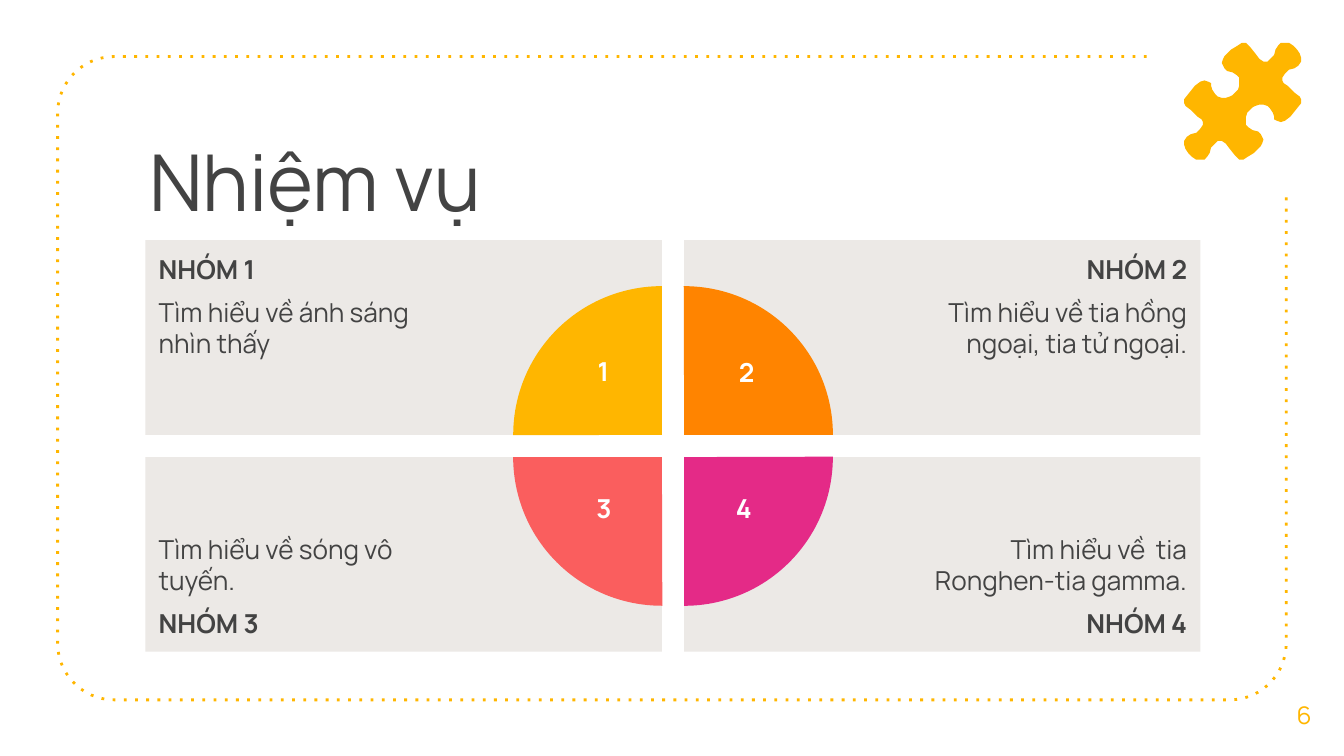
from math import cos, radians, sin

from pptx import Presentation
from pptx.dml.color import RGBColor
from pptx.enum.dml import MSO_LINE
from pptx.enum.shapes import MSO_SHAPE
from pptx.enum.text import MSO_ANCHOR, MSO_AUTO_SIZE, PP_ALIGN
from pptx.oxml.ns import qn
from pptx.util import Cm, Pt

RECTANGLE, PIE = MSO_SHAPE.RECTANGLE, MSO_SHAPE.PIE
TOP, MIDDLE, BOTTOM = MSO_ANCHOR.TOP, MSO_ANCHOR.MIDDLE, MSO_ANCHOR.BOTTOM
LEFT, CENTER, RIGHT = PP_ALIGN.LEFT, PP_ALIGN.CENTER, PP_ALIGN.RIGHT
NO_AUTOFIT, DOTTED = MSO_AUTO_SIZE.NONE, MSO_LINE.ROUND_DOT

COLOURS = {
    "text": "434343", "panel": "ECE9E6", "white": "FFFFFF", "yellow": "FFB600",
    "orange": "FF8400", "coral": "FA5E5E", "pink": "E42A87",
}
FONT = "Manrope"

PANEL_LEFT, PANEL_TOP = 2.75, 4.54
PANEL_WIDTH, PANEL_HEIGHT, PANEL_GAP = 9.76, 3.68, 0.42
PIE_RADIUS = 2.81
INSET, WIDE_INSET = 0.25, 3.81

GROUPS = [
    ("NHÓM 1", "Tìm hiểu về ánh sáng nhìn thấy", "yellow", 0, (11, 6.58, 0.81, 1.03)),
    ("NHÓM 2", "Tìm hiểu về tia hồng ngoại, tia tử ngoại.", "orange", 90, (13.36, 6.6, 1.5, 1.03)),
    ("NHÓM 3", "Tìm hiểu về sóng vô tuyến.", "coral", 270, (10.92, 9.17, 0.99, 1.03)),
    ("NHÓM 4", "Tìm hiểu về  tia Ronghen-tia gamma.", "pink", 180, (13.64, 9.17, 0.84, 1.03)),
]

FRAME_LEFT, FRAME_TOP, FRAME_RIGHT, FRAME_BOTTOM = 1.09, 1.07, 24.31, 13.23
FRAME_RADIUS = 1.07
FRAME_START, FRAME_END = (21.67, FRAME_TOP), (FRAME_RIGHT, 3.71)

PUZZLE_LEFT, PUZZLE_TOP, PUZZLE_SIZE = 22.38, 0.81, 87
PUZZLE_UNIT = 2.54 / 100
PUZZLE_HALF = [
    (43, 0), (40, 2), (35, 5), (30, 10), (29, 12), (28, 15), (29, 17), (30, 19),
    (32, 21), (36, 22), (39, 24), (41, 26), (41, 30), (41, 32), (40, 35), (38, 37),
    (36, 39), (34, 40), (31, 41), (28, 41), (25, 40), (23, 38), (21, 35), (20, 32),
    (20, 30), (18, 29), (15, 28), (12, 29), (8, 32), (4, 37), (0, 42), (0, 45),
    (1, 47), (5, 50), (10, 55), (13, 57), (14, 59), (14, 61), (12, 64), (9, 67),
    (5, 68), (2, 70), (0, 73), (0, 76), (1, 79), (3, 82), (6, 85), (9, 87),
    (12, 87), (15, 87), (17, 85), (19, 82), (20, 78), (22, 76), (25, 73), (28, 73),
    (31, 75), (34, 79), (38, 84), (41, 87),
]


def frame_points():
    corners = [
        (FRAME_LEFT + FRAME_RADIUS, FRAME_TOP + FRAME_RADIUS, 90),
        (FRAME_LEFT + FRAME_RADIUS, FRAME_BOTTOM - FRAME_RADIUS, 180),
        (FRAME_RIGHT - FRAME_RADIUS, FRAME_BOTTOM - FRAME_RADIUS, 270),
    ]
    arcs = [
        (x + FRAME_RADIUS * cos(radians(angle)), y - FRAME_RADIUS * sin(radians(angle)))
        for x, y, first in corners
        for angle in range(first, first + 91, 6)
    ]
    return [FRAME_START, *arcs, FRAME_END]


def puzzle_points():
    turned = [(PUZZLE_SIZE - x, PUZZLE_SIZE - y) for x, y in PUZZLE_HALF]
    return [
        (PUZZLE_LEFT + x * PUZZLE_UNIT, PUZZLE_TOP + y * PUZZLE_UNIT)
        for x, y in PUZZLE_HALF + turned
    ]


def set_values(target, values):
    for attribute, value in values.items():
        setattr(target, attribute, value)


class Deck:
    def __init__(self, slide):
        self.slide = slide
        self.shapes = slide.shapes

    def colour(self, name):
        return RGBColor.from_string(COLOURS[name])

    def paint(self, shape, fill):
        shape.shadow.inherit = False
        shape.fill.solid()
        shape.fill.fore_color.rgb = self.colour(fill)
        shape.line.fill.background()

    def fill_text(self, shape, paragraphs, align=LEFT, anchor=TOP, insets=(INSET,) * 4):
        left, top, right, bottom = map(Cm, insets)
        frame = shape.text_frame
        set_values(frame, {
            "word_wrap": True, "auto_size": NO_AUTOFIT, "vertical_anchor": anchor,
            "margin_left": left, "margin_top": top,
            "margin_right": right, "margin_bottom": bottom,
        })
        for index, (text, size, colour, bold) in enumerate(paragraphs):
            paragraph = frame.add_paragraph() if index else frame.paragraphs[0]
            set_values(paragraph, {
                "text": text, "alignment": align,
                "space_before": Pt(6 if index else 0),
            })
            set_values(paragraph.font, {"name": FONT, "size": Pt(size), "bold": bold})
            paragraph.font.color.rgb = self.colour(colour)
        if len(paragraphs) > 1:
            paragraph.space_after = Pt(6)

    def title(self, box, text, size):
        title = self.shapes.title
        set_values(title, dict(zip(("left", "top", "width", "height"), map(Cm, box))))
        self.fill_text(title, [(text, size, "text", False)])

    def label(self, box, text, size, colour, bold=False, **layout):
        label = self.shapes.add_textbox(*map(Cm, box))
        self.fill_text(label, [(text, size, colour, bold)], CENTER, **layout)

    def panel(self, box, paragraphs, **layout):
        panel = self.shapes.add_shape(RECTANGLE, *map(Cm, box))
        self.paint(panel, "panel")
        self.fill_text(panel, paragraphs, **layout)

    def quarter(self, x, y, rotation, fill):
        corner_and_size = (x - PIE_RADIUS, y - PIE_RADIUS, 2 * PIE_RADIUS, 2 * PIE_RADIUS)
        quarter = self.shapes.add_shape(PIE, *map(Cm, corner_and_size))
        quarter.adjustments[0], quarter.adjustments[1] = 107.89, 162
        quarter.rotation = rotation
        self.paint(quarter, fill)

    def outline(self, points, close):
        start, *rest = [(Cm(x), Cm(y)) for x, y in points]
        builder = self.shapes.build_freeform(*start)
        builder.add_line_segments(rest, close=close)
        return builder.convert_to_shape()

    def dotted_frame(self, points, colour):
        frame = self.outline(points, False)
        frame.shadow.inherit = False
        frame.fill.background()
        set_values(frame.line, {"width": Pt(1.5), "dash_style": DOTTED})
        frame.line.color.rgb = self.colour(colour)
        frame.line._ln.find(qn("a:prstDash")).set("val", "dot")

    def puzzle_piece(self, points, fill):
        self.paint(self.outline(points, True), fill)


def main():
    presentation = Presentation()
    presentation.slide_width, presentation.slide_height = Cm(25.4), Cm(14.29)
    deck = Deck(presentation.slides.add_slide(presentation.slide_layouts[5]))

    deck.dotted_frame(frame_points(), "yellow")
    deck.title((2.57, 2.26, 20.24, 2.39), "Nhiệm vụ", 42)
    deck.label((23.9, 12.75, 1.5, 1.52), "6", 13, "yellow", anchor=MIDDLE)

    for index, (group, task, colour, rotation, number_box) in enumerate(GROUPS):
        row, column = divmod(index, 2)
        left = PANEL_LEFT + column * (PANEL_WIDTH + PANEL_GAP)
        top = PANEL_TOP + row * (PANEL_HEIGHT + PANEL_GAP)
        paragraphs = [(group, 14, "text", True), (task, 14, "text", False)]
        deck.panel(
            (left, top, PANEL_WIDTH, PANEL_HEIGHT),
            paragraphs[::-1] if row else paragraphs,
            align=RIGHT if column else LEFT,
            anchor=BOTTOM if row else TOP,
            insets=(WIDE_INSET if column else INSET, INSET,
                    INSET if column else WIDE_INSET, INSET),
        )
        tip_x = left if column else left + PANEL_WIDTH
        tip_y = top if row else top + PANEL_HEIGHT
        deck.quarter(tip_x, tip_y, rotation, colour)
        deck.label(number_box, str(index + 1), 14, "white", True,
                   insets=(INSET, 0.13, INSET, 0.13))

    deck.puzzle_piece(puzzle_points(), "yellow")
    presentation.save("out.pptx")


if __name__ == "__main__":
    main()
